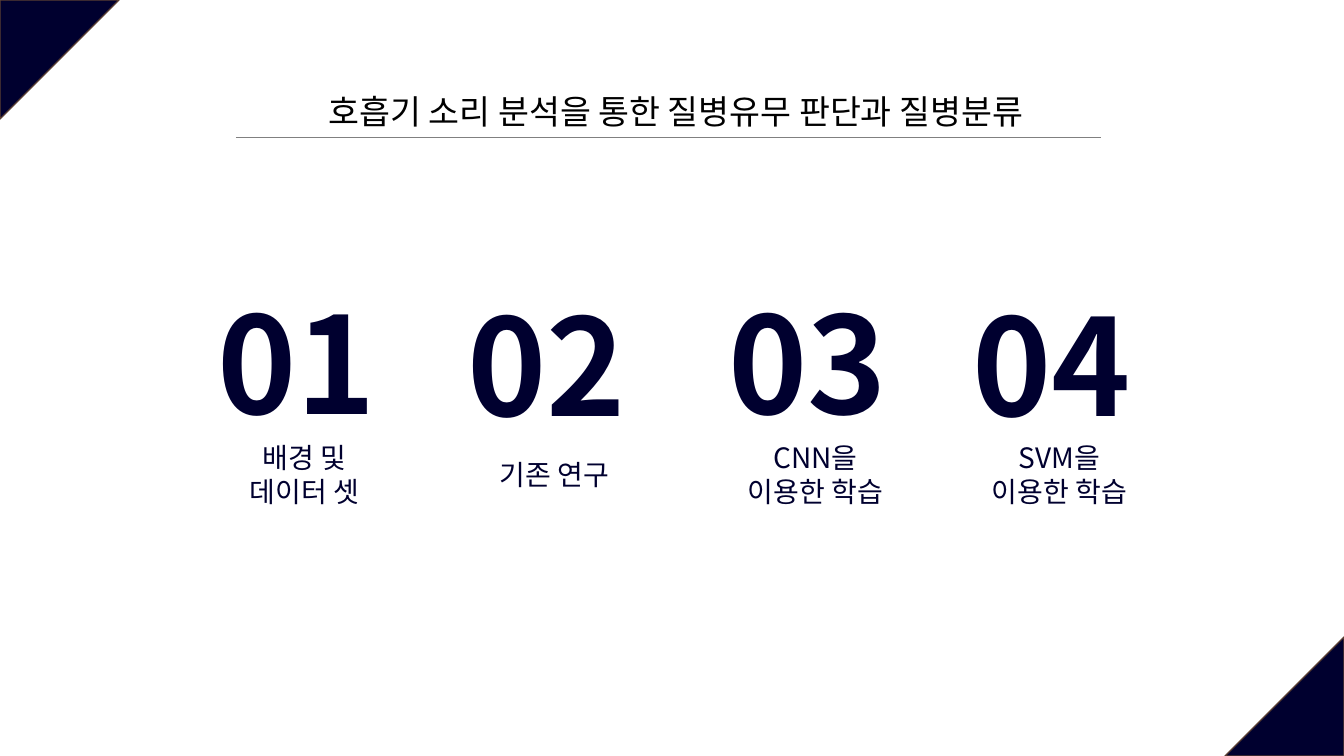
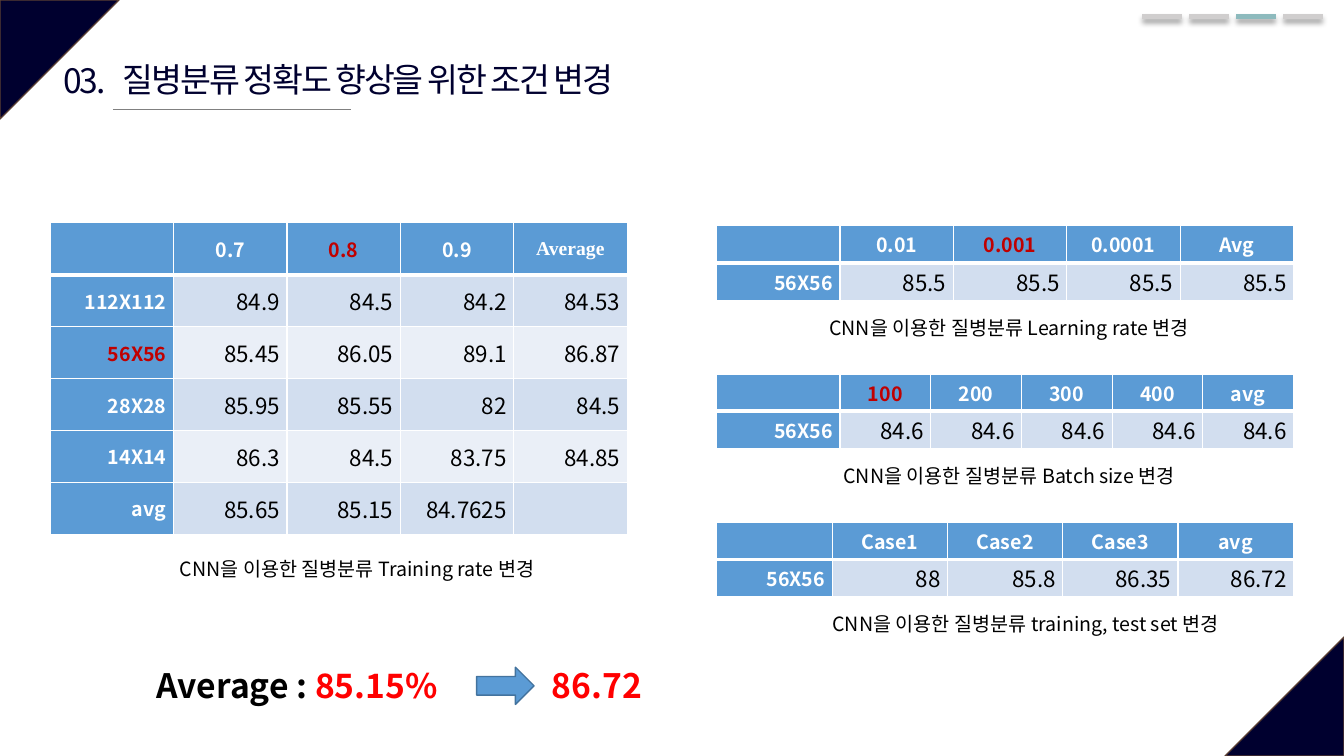
from dataclasses import dataclass

from lxml import etree
from pptx import Presentation
from pptx import util as u
from pptx.dml import color
from pptx.enum import shapes, text
from pptx.oxml import ns

ALIGN = text.PP_ALIGN
ANCHOR = text.MSO_ANCHOR
SHAPE = shapes.MSO_SHAPE


@dataclass(frozen=True)
class Theme:
    font: str = "Noto Sans CJK KR"
    serif: str = "Times New Roman"
    navy: str = "00002F"
    corner_edge: str = "5B3F33"
    white: str = "FFFFFF"
    black: str = "000000"
    rule: str = "808080"
    blue: str = "5B9BD5"
    blue_edge: str = "43739E"
    bands: tuple = ("D2DEEF", "EAEFF7")
    dark_red: str = "C00000"
    red: str = "FF0000"
    step_on: str = "8DBABD"
    step_off: str = "D0CECE"
    number: int = 96
    title: int = 24
    label: int = 20
    cell: int = 16
    small: int = 14


def rgb(value):
    return color.RGBColor.from_string(value)


def add_xml(parent, tag, **attributes):
    return etree.SubElement(parent, ns.qn(tag), **attributes)


class Deck:
    """Holds the style and the current slide and draws each kind of element."""

    def __init__(self, theme):
        self.theme = theme
        self.presentation = Presentation()
        self.presentation.slide_width = u.Pt(960)
        self.presentation.slide_height = u.Pt(540)
        self.slide = None

    def new_slide(self):
        self.slide = self.presentation.slides.add_slide(self.presentation.slide_layouts[5])
        for left, top, angle in ((0, 0, 90), (875, 455, 270)):
            corner = self.shape(SHAPE.RIGHT_TRIANGLE, left, top, 85, 85,
                                self.theme.navy, self.theme.corner_edge)
            corner.rotation = angle

    def run(self, paragraph, words, size, ink, bold=False, spacing=0, font=None):
        run = paragraph.add_run()
        run.text = words
        run.font.size = u.Pt(size)
        run.font.bold = bold
        run.font.color.rgb = rgb(ink)
        run.font.name = font or self.theme.font
        properties = run.font._element if hasattr(run.font, "_element") else run.font._rPr
        add_xml(properties, "a:ea", typeface=run.font.name)
        if spacing:
            properties.set("spc", str(int(spacing * 100)))

    def place(self, shape, left, top, width, height):
        shape.left, shape.top = u.Pt(left), u.Pt(top)
        shape.width, shape.height = u.Pt(width), u.Pt(height)

    def frame(self, shape, wrap, anchor=ANCHOR.TOP):
        frame = shape.text_frame
        frame.auto_size = text.MSO_AUTO_SIZE.NONE
        frame.word_wrap = wrap
        frame.vertical_anchor = anchor
        return frame

    def title(self, words, left, top, width, height, ink, align, spacing=0):
        shape = self.slide.shapes.title
        self.place(shape, left, top, width, height)
        paragraph = self.frame(shape, True).paragraphs[0]
        paragraph.alignment = align
        self.run(paragraph, words, self.theme.title, ink, spacing=spacing)

    def text(self, runs, left, top, width, height, size,
             align=ALIGN.LEFT, wrap=False, bold=False, spacing=0, line_spacing=None):
        box = self.slide.shapes.add_textbox(*map(u.Pt, (left, top, width, height)))
        paragraph = self.frame(box, wrap).paragraphs[0]
        paragraph.alignment = align
        if line_spacing:
            paragraph.line_spacing = line_spacing
        for words, ink in runs:
            self.run(paragraph, words, size, ink, bold, spacing)

    def shape(self, kind, left, top, width, height, fill, edge):
        shape = self.slide.shapes.add_shape(kind, *map(u.Pt, (left, top, width, height)))
        shape.shadow.inherit = False
        shape.fill.solid()
        shape.fill.fore_color.rgb = rgb(fill)
        shape.line.color.rgb = rgb(edge)
        shape.line.width = u.Pt(1)
        return shape

    def label(self, lines, left, top, width, height):
        white = self.theme.white
        shape = self.shape(SHAPE.RECTANGLE, left, top, width, height, white, white)
        fill = shape.element.spPr.find(ns.qn("a:solidFill"))
        add_xml(fill[0], "a:alpha", val="80000")
        frame = self.frame(shape, True, ANCHOR.MIDDLE)
        for index, line in enumerate(lines):
            paragraph = frame.add_paragraph() if index else frame.paragraphs[0]
            paragraph.alignment = ALIGN.CENTER
            self.run(paragraph, line, self.theme.label, self.theme.navy)

    def line(self, left, right, top, ink, weight, shadow=False):
        line = self.slide.shapes.add_connector(
            shapes.MSO_CONNECTOR.STRAIGHT, *map(u.Pt, (left, top, right, top)))
        line.line.color.rgb = rgb(ink)
        line.line.width = u.Pt(weight)
        effects = add_xml(line.element.spPr, "a:effectLst")
        if shadow:
            outer = add_xml(effects, "a:outerShdw", blurRad=str(u.Pt(4)), dist=str(u.Pt(3)),
                            dir="5400000", algn="t", rotWithShape="0")
            shade = add_xml(outer, "a:srgbClr", val=self.theme.black)
            add_xml(shade, "a:alpha", val="40000")

    def steps(self, count, active):
        for index in range(count):
            left = 815.8 + 33.6 * index
            ink = self.theme.step_on if index == active else self.theme.step_off
            self.line(left, left + 28.2, 11.5, ink, 3.5, shadow=True)

    def borders(self, cell, row):
        properties = cell._tc.get_or_add_tcPr()
        weights = {"L": 1, "R": 1, "T": 3 if row == 1 else 1, "B": 3 if row == 0 else 1}
        for side, weight in weights.items():
            edge = add_xml(properties, "a:ln" + side, w=str(u.Pt(weight)))
            add_xml(add_xml(edge, "a:solidFill"), "a:srgbClr", val=self.theme.white)

    def cell(self, cell, words, row, column, highlights):
        theme = self.theme
        heading = row == 0 or column == 0
        self.borders(cell, row)
        cell.fill.solid()
        cell.fill.fore_color.rgb = rgb(theme.blue if heading else theme.bands[(row - 1) % 2])
        cell.margin_left = cell.margin_right = u.Pt(5)
        cell.margin_top = cell.margin_bottom = 0
        cell.vertical_anchor = ANCHOR.MIDDLE
        if not words:
            return
        paragraph = cell.text_frame.paragraphs[0]
        paragraph.alignment = ALIGN.RIGHT if row else ALIGN.CENTER
        ink = theme.white if heading else theme.black
        self.run(paragraph, words, theme.small if heading else theme.cell,
                 theme.dark_red if words in highlights else ink, heading,
                 font=theme.serif if words == "Average" else None)

    def table(self, rows, left, top, first_width, row_height, highlights=()):
        width, columns = 412, len(rows[0])
        table = self.slide.shapes.add_table(
            len(rows), columns, *map(u.Pt, (left, top, width, row_height * len(rows)))).table
        for index, column in enumerate(table.columns):
            column.width = u.Pt((width - first_width) / (columns - 1) if index else first_width)
        for row, values in enumerate(rows):
            table.rows[row].height = u.Pt(row_height)
            for column, words in enumerate(values):
                self.cell(table.cell(row, column), words, row, column, highlights)

    def caption(self, subject, left, top, width=289.5):
        self.text([(f"CNN을 이용한 질병분류 {subject} 변경", self.theme.black)],
                  left, top, width, 36, self.theme.small, ALIGN.CENTER, True, line_spacing=2.0)


def contents_slide(deck):
    theme = deck.theme
    deck.new_slide()
    deck.title("호흡기 소리 분석을 통한 질병유무 판단과 질병분류",
               195, 61.2, 575.5, 65.5, theme.black, ALIGN.CENTER)
    deck.line(168.5, 786.2, 98, theme.rule, 0.5)
    chapters = (
        (148.3, 196.6, ("배경 및", "데이터 셋")),
        (326.9, 198, ("기존 연구",)),
        (513.4, 196.6, ("CNN을", "이용한 학습")),
        (687.6, 198, ("SVM을", "이용한 학습")),
    )
    for number, (left, top, lines) in enumerate(chapters, 1):
        deck.text([(f"{number:02}", theme.navy)], left, top, 138.2, 123.8,
                  theme.number, bold=True)
        deck.label(lines, left, 320.5, 138.2, 36.7)


def results_slide(deck):
    theme = deck.theme
    deck.new_slide()
    deck.line(80.6, 250.6, 77.8, theme.rule, 0.5)
    deck.title("질병분류 정확도 향상을 위한 조건 변경",
               80.6, 38.2, 495.4, 36, theme.navy, ALIGN.LEFT, -1.5)
    deck.text([("03.", theme.navy)], 37.4, 39.6, 46, 36, theme.title,
              ALIGN.CENTER, spacing=-1.5)

    deck.table((
        ("", "0.7", "0.8", "0.9", "Average"),
        ("112X112", "84.9", "84.5", "84.2", "84.53"),
        ("56X56", "85.45", "86.05", "89.1", "86.87"),
        ("28X28", "85.95", "85.55", "82", "84.5"),
        ("14X14", "86.3", "84.5", "83.75", "84.85"),
        ("avg", "85.65", "85.15", "84.7625", ""),
    ), 36, 159.1, 88, 37.1, ("0.8", "56X56"))
    deck.caption("Training rate", 110.2, 377.3)

    trials = (
        ("Learning rate", ("0.01", "0.001", "0.0001", "Avg"),
         ("85.5",) * 4, 88, "0.001", 289.5),
        ("Batch size", ("100", "200", "300", "400", "avg"),
         ("84.6",) * 5, 88, "100", 289.5),
        ("training, test set", ("Case1", "Case2", "Case3", "avg"),
         ("88", "85.8", "86.35", "86.72"), 82.4, "", 313.2),
    )
    for index, (subject, header, values, first_width, best, width) in enumerate(trials):
        top = 161.3 + 105.9 * index
        deck.table((("", *header), ("56X56", *values)), 512, top, first_width, 26.6, (best,))
        deck.caption(subject, 576, top + 43.9, width)

    deck.text([("Average :", theme.black), (" 85.15%", theme.red)],
              105, 471.6, 225, 36, theme.title, bold=True)
    deck.text([("86.72", theme.red)], 387, 471.6, 80, 36, theme.title, bold=True)
    deck.shape(SHAPE.RIGHT_ARROW, 340.5, 476.6, 41, 26.6, theme.blue, theme.blue_edge)
    deck.steps(4, active=2)


def main():
    deck = Deck(Theme())
    contents_slide(deck)
    results_slide(deck)
    deck.presentation.save("out.pptx")


if __name__ == "__main__":
    main()
